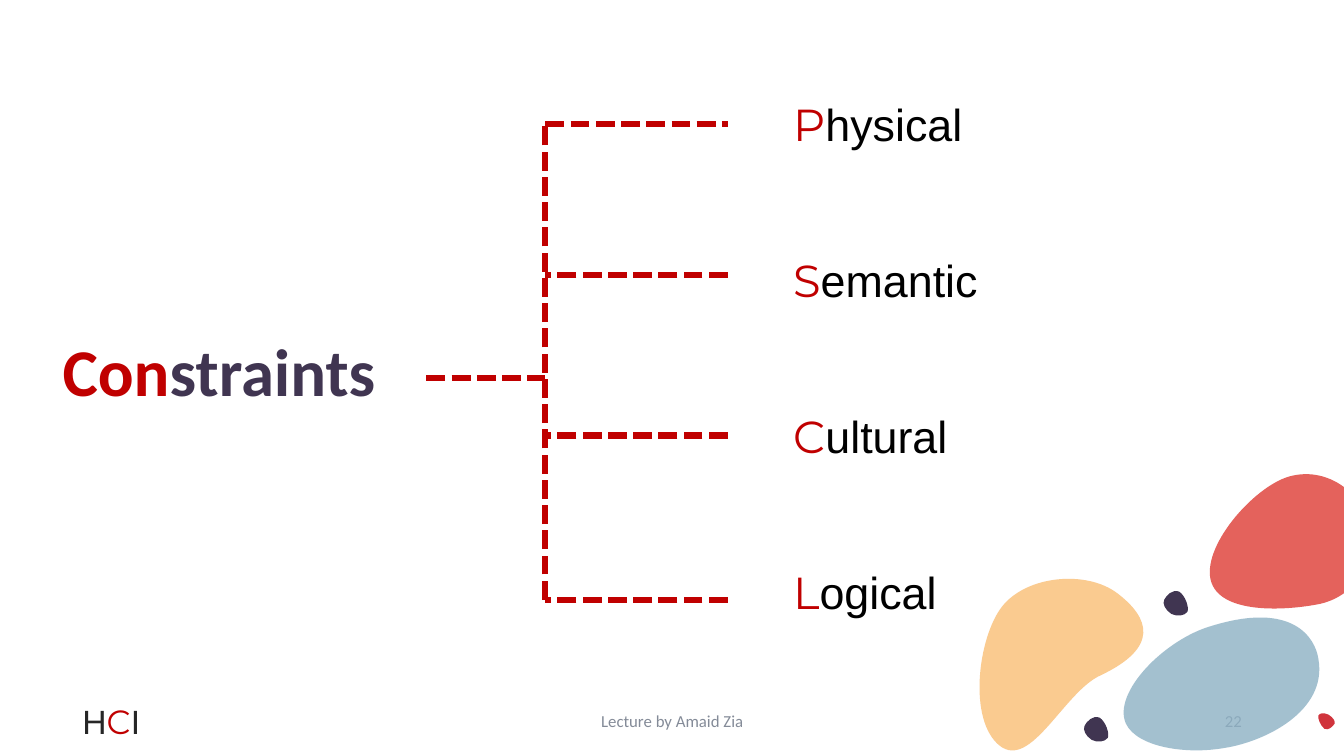
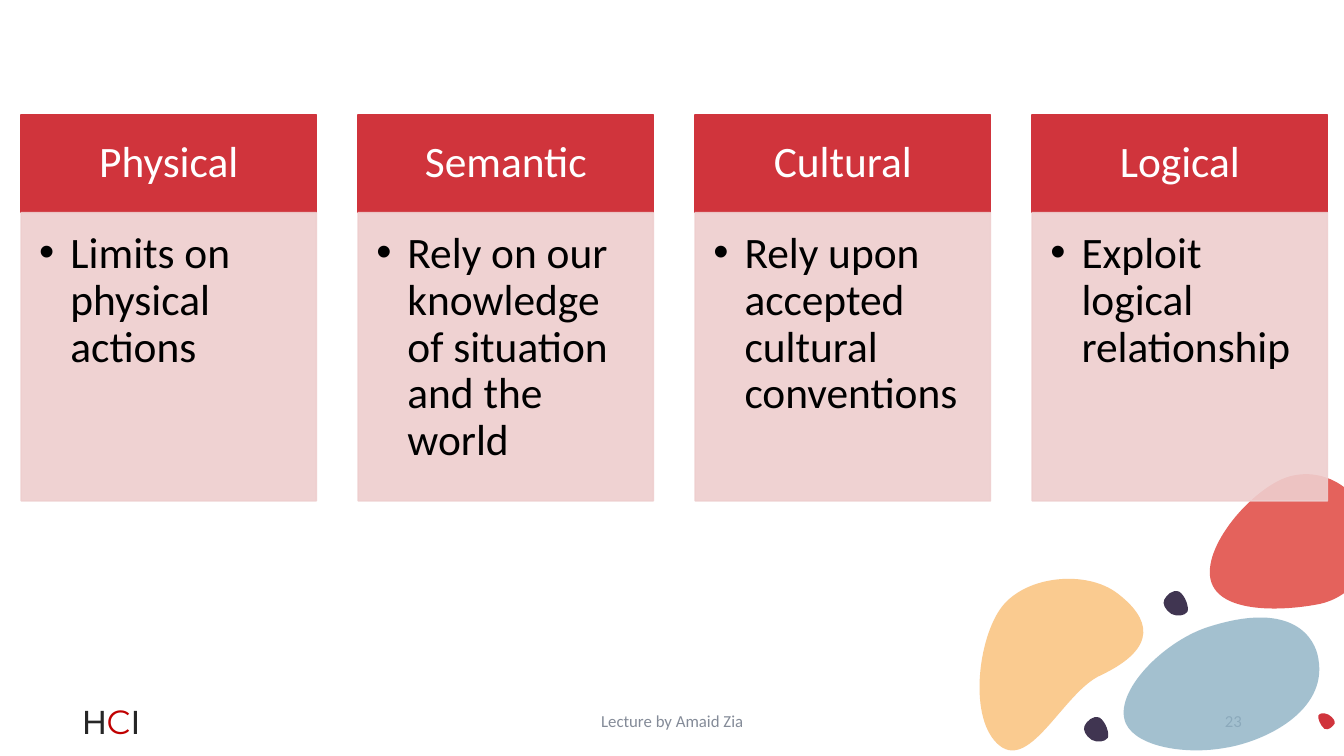
from lxml import etree
from pptx import Presentation
from pptx.dml.color import RGBColor
from pptx.enum.dml import MSO_LINE
from pptx.enum.shapes import MSO_CONNECTOR, MSO_SHAPE
from pptx.enum.text import MSO_ANCHOR, MSO_AUTO_SIZE, PP_ALIGN
from pptx.oxml.ns import qn
from pptx.util import Inches, Pt

# Enum members
LEFT, CENTER, RIGHT = PP_ALIGN.LEFT, PP_ALIGN.CENTER, PP_ALIGN.RIGHT
TOP, MIDDLE = MSO_ANCHOR.TOP, MSO_ANCHOR.MIDDLE
SYS_DASH = MSO_LINE.SQUARE_DOT
STRAIGHT = MSO_CONNECTOR.STRAIGHT
RECT = MSO_SHAPE.RECTANGLE

# Colours
DARK_RED = RGBColor(0xC0, 0x00, 0x00)
RED = RGBColor(0xD0, 0x34, 0x3C)
PINK = RGBColor(0xEE, 0xCE, 0xCE)
CORAL = RGBColor(0xE4, 0x62, 0x5C)
BLUE = RGBColor(0x8D, 0xB1, 0xC4)
ORANGE = RGBColor(0xF9, 0xBE, 0x75)
PURPLE = RGBColor(0x40, 0x35, 0x51)
GREY = RGBColor(0x84, 0x8B, 0x98)
CHARCOAL = RGBColor(0x26, 0x26, 0x26)
BLACK = RGBColor(0x00, 0x00, 0x00)
WHITE = RGBColor(0xFF, 0xFF, 0xFF)

# Fonts
BODY, SANS, ACCENT = "Calibri", "Arial", "Montserrat"

FIRST_NUMBER = 22

# Outlines: a start point, then lines (x, y) or curves (two controls, end)
CORAL_BLOB = [
    (13.44, 4.94), (13.53, 5.65), (13.5, 5.71),
    (13.41, 5.85, 13.27, 5.95, 13.1, 5.99),
    (12.76, 6.06, 12.09, 6.1, 12.01, 5.75),
    (11.93, 5.39, 12.48, 4.79, 12.82, 4.72),
    (13.03, 4.67, 13.24, 4.74, 13.39, 4.88)]
BLUE_BLOB = [
    (11.17, 7.18),
    (11.28, 7.41, 11.76, 7.49, 12.15, 7.42),
    (12.54, 7.36, 13.17, 7.06, 13.08, 6.54),
    (13.05, 6.33, 12.83, 5.96, 12.02, 6.21),
    (11.56, 6.34, 11.03, 6.87, 11.17, 7.18)]
ORANGE_BLOB = [
    (9.92, 7.4),
    (9.6, 7.15, 9.7, 6.33, 9.94, 6.02),
    (10.18, 5.71, 10.78, 5.65, 11.09, 5.89),
    (11.4, 6.13, 11.51, 6.42, 10.92, 6.7),
    (10.56, 6.86, 10.23, 7.64, 9.92, 7.4)]
PEBBLE = [
    (10.99, 7.32),
    (11.01, 7.28, 10.97, 7.16, 10.91, 7.12),
    (10.84, 7.09, 10.78, 7.16, 10.76, 7.2),
    (10.74, 7.24, 10.77, 7.3, 10.83, 7.34),
    (10.89, 7.37, 10.96, 7.36, 10.99, 7.32)]
RED_PEBBLE = [
    (13.08, 7.1),
    (13.07, 7.12, 13.1, 7.2, 13.14, 7.23),
    (13.18, 7.25, 13.22, 7.21, 13.24, 7.18),
    (13.25, 7.16, 13.23, 7.12, 13.18, 7.09),
    (13.14, 7.07, 13.09, 7.07, 13.08, 7.1)]

# Outline, colour, opacity in percent, shift
BLOBS = [
    (CORAL_BLOB, CORAL, 100, (0, 0)),
    (BLUE_BLOB, BLUE, 80, (0, 0)),
    (ORANGE_BLOB, ORANGE, 80, (0, 0)),
    (PEBBLE, PURPLE, 100, (0, 0)),
    (RED_PEBBLE, RED, 100, (0, 0)),
    (PEBBLE, PURPLE, 100, (0.79, -1.25))]

CARDS = [
    ("Physical", "Limits on physical actions"),
    ("Semantic", "Rely on our knowledge of situation and the world"),
    ("Cultural", "Rely upon accepted cultural conventions"),
    ("Logical", "Exploit logical relationship")]


def add_run(p, text, size, font, color, bold=False):
    r = p.add_run()
    r.text = text
    r.font.size, r.font.name, r.font.bold = Pt(size), font, bold
    r.font.color.rgb = color
    return r


def add_text(s, box, align=LEFT, anchor=TOP):
    tf = s.shapes.add_textbox(*map(Inches, box)).text_frame
    tf.word_wrap = True
    tf.vertical_anchor = anchor
    p = tf.paragraphs[0]
    p.alignment = align
    return p


def set_opacity(sp, percent):
    for color in sp._element.spPr.iter(qn("a:srgbClr")):
        etree.SubElement(color, qn("a:alpha"), val=str(percent * 1000))


def extent(outline, axis, steps=16):
    """Lowest and highest value of the outline along one axis."""
    last = outline[0][axis]
    values = [last]
    for segment in outline[1:]:
        coords = segment[axis::2]
        if len(coords) == 3:
            c1, c2, end = coords
            for t in (i / steps for i in range(1, steps)):
                u = 1 - t
                values.append(u ** 3 * last + 3 * t * u * u * c1
                              + 3 * t * t * u * c2 + t ** 3 * end)
        last = coords[-1]
        values.append(last)
    return min(values), max(values)


def add_blob(s, outline, color, opacity, shift):
    dx, dy = shift
    (x1, x2), (y1, y2) = extent(outline, 0), extent(outline, 1)
    builder = s.shapes.build_freeform(Inches(x1 + dx), Inches(y1 + dy), scale=1.0)
    builder.add_line_segments([(Inches(x2 + dx), Inches(y2 + dy))])
    sp = builder.convert_to_shape()

    # Draw the outline with true curves inside the box
    geometry = next(sp._element.iter(qn("a:path")))
    for child in list(geometry):
        geometry.remove(child)
    for i, segment in enumerate(outline):
        tag = "a:moveTo" if i == 0 else "a:lnTo" if len(segment) == 2 else "a:cubicBezTo"
        step = etree.SubElement(geometry, qn(tag))
        for x, y in zip(segment[::2], segment[1::2]):
            etree.SubElement(step, qn("a:pt"), x=str(Inches(x - x1)), y=str(Inches(y - y1)))
    etree.SubElement(geometry, qn("a:close"))

    sp.shadow.inherit = False
    sp.fill.solid()
    sp.fill.fore_color.rgb = color
    sp.line.fill.background()
    if opacity < 100:
        set_opacity(sp, opacity)


def add_frame(s):
    """Course mark, footer, slide number and corner blobs."""
    p = add_text(s, (0.72, 6.95, 3, 0.4), anchor=MIDDLE)
    for letter, font, color in (("H", SANS, CHARCOAL), ("C", ACCENT, DARK_RED),
                                ("I", SANS, CHARCOAL)):
        add_run(p, letter, 24, font, color)
    p = add_text(s, (4.42, 6.95, 4.5, 0.4), CENTER, MIDDLE)
    add_run(p, "Lecture by Amaid Zia", 12, BODY, GREY)

    # The number run becomes a slide number field
    p = add_text(s, (9.42, 6.95, 3, 0.4), RIGHT, MIDDLE)
    number = add_run(p, str(FIRST_NUMBER), 12, BODY, GREY)._r
    number.tag = qn("a:fld")
    number.set("id", "{B6F15528-21DE-4FAA-801E-634DDDAF4B2B}")
    number.set("type", "slidenum")

    for blob in BLOBS:
        add_blob(s, *blob)


def add_dash(s, x1, y1, x2, y2):
    line = s.shapes.add_connector(STRAIGHT, *map(Inches, (x1, y1, x2, y2)))
    line.line.color.rgb = DARK_RED
    line.line.width = Pt(4.5)
    line.line.dash_style = SYS_DASH
    etree.SubElement(line._element.spPr, qn("a:effectLst"))


def add_tree(s, left, top, width, height):
    """Dashed bracket with one branch to each label."""
    trunk, right, bottom = left + 1.18, left + width, top + height
    middle = top + 2.52
    add_dash(s, left, middle, trunk, middle)
    add_dash(s, trunk, bottom, trunk, top)
    add_dash(s, trunk, top, right, top)
    for y in (top + 1.5, top + 3.09, bottom):
        add_dash(s, right, y, trunk, y)


def add_labels(s, left, top, width, height):
    row = 0.64
    pitch = (height - row) / (len(CARDS) - 1)
    for i, (name, _) in enumerate(CARDS):
        p = add_text(s, (left, top + i * pitch, width, row))
        add_run(p, name[0], 32, ACCENT, DARK_RED)
        add_run(p, name[1:], 32, SANS, BLACK)


def add_panel(s, box, color, insets, anchor, align):
    sp = s.shapes.add_shape(RECT, *map(Inches, box))
    sp.shadow.inherit = False
    sp.fill.solid()
    sp.fill.fore_color.rgb = color
    sp.line.color.rgb = color
    sp.line.width = Pt(1)
    tf = sp.text_frame
    tf.word_wrap = True
    tf.vertical_anchor = anchor
    tf.margin_left, tf.margin_top, tf.margin_right, tf.margin_bottom = map(Inches, insets)
    p = tf.paragraphs[0]
    p.alignment = align
    p.line_spacing = 0.9
    return sp, p


def add_card(s, left, top, width, height, name, detail):
    head = 0.97
    _, p = add_panel(s, (left, top, width, head), RED,
                     (0.24, 0.14, 0.24, 0.14), MIDDLE, CENTER)
    add_run(p, name, 31, BODY, WHITE)

    sp, p = add_panel(s, (left, top + head, width, height - head), PINK,
                      (0.18, 0.18, 0.24, 0.27), TOP, LEFT)
    set_opacity(sp, 90)
    pPr = p._p.get_or_add_pPr()
    pPr.set("marL", str(Inches(0.31)))
    pPr.set("indent", str(-Inches(0.31)))
    etree.SubElement(pPr, qn("a:buFont"), typeface=SANS)
    etree.SubElement(pPr, qn("a:buChar"), char="•")
    add_run(p, detail, 31, BODY, BLACK)


def add_cards(s, left, top, width, height):
    card = 2.93
    pitch = (width - card) / (len(CARDS) - 1)
    for i, (name, detail) in enumerate(CARDS):
        add_card(s, left + i * pitch, top, card, height, name, detail)


def overview_slide(prs):
    s = prs.slides.add_slide(prs.slide_layouts[5])
    title = s.shapes.title
    title.left, title.top, title.width, title.height = map(Inches, (0.52, 3.1, 3.39, 1.24))
    tf = title.text_frame
    tf.auto_size = MSO_AUTO_SIZE.NONE
    tf.vertical_anchor = MIDDLE
    p = tf.paragraphs[0]
    p.alignment = LEFT
    p.line_spacing = 0.9
    add_run(p, "Con", 47.7, BODY, DARK_RED, bold=True)
    add_run(p, "straints", 47.7, BODY, PURPLE, bold=True)
    add_frame(s)
    add_labels(s, 7.77, 0.91, 3.15, 5.28)
    add_tree(s, 4.23, 1.23, 2.99, 4.72)


def detail_slide(prs):
    s = prs.slides.add_slide(prs.slide_layouts[6])
    add_frame(s)
    add_cards(s, 0.21, 1.14, 12.96, 3.83)


def main():
    prs = Presentation()
    prs.slide_width, prs.slide_height = Inches(40 / 3), Inches(7.5)
    prs.element.set("firstSlideNum", str(FIRST_NUMBER))
    overview_slide(prs)
    detail_slide(prs)
    prs.save("out.pptx")


if __name__ == "__main__":
    main()
